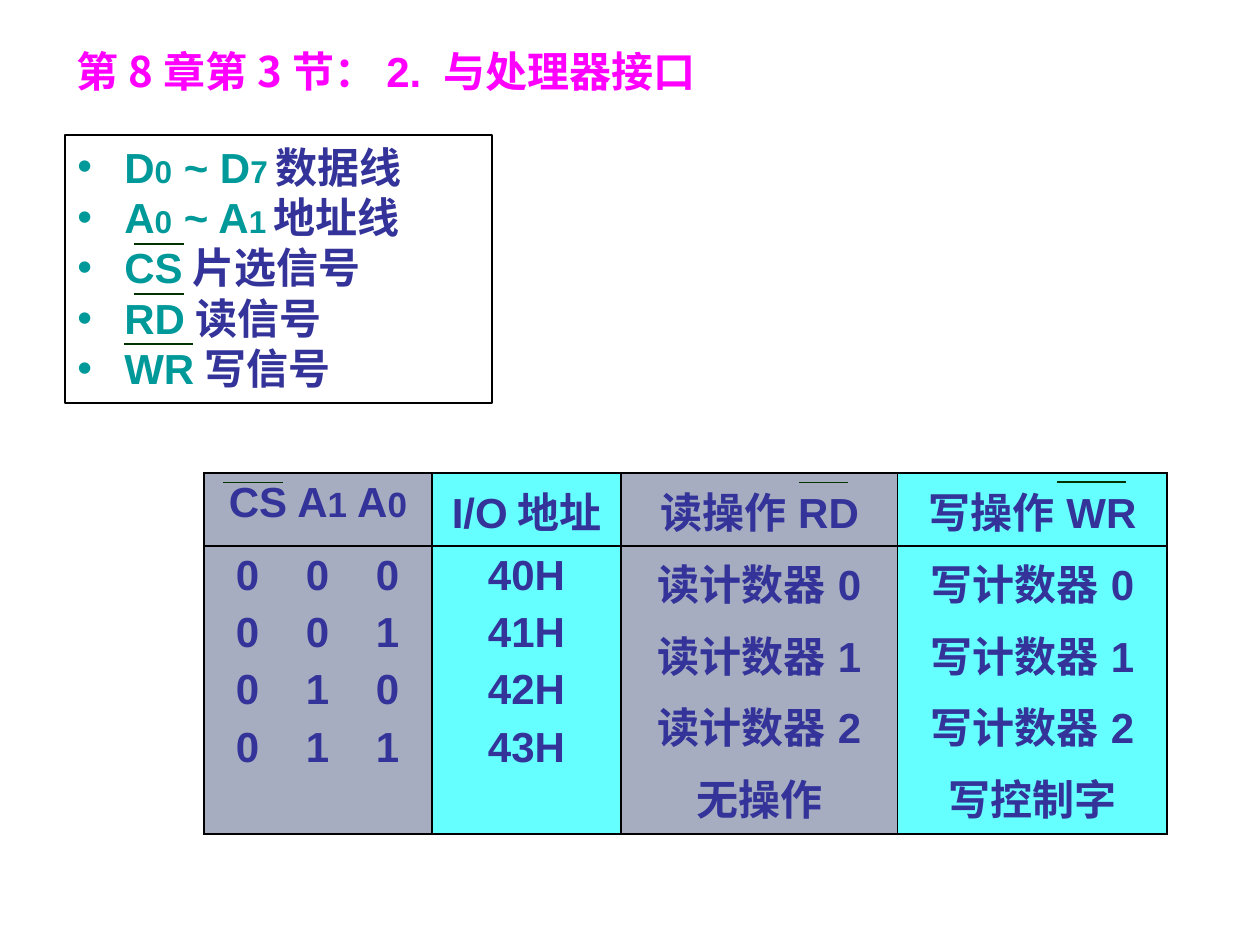
"""Build the slide on the timer chip's processor interface."""
from lxml.etree import SubElement
from pptx import Presentation
from pptx.dml.color import RGBColor
from pptx.enum.shapes import MSO_CONNECTOR, MSO_SHAPE
from pptx.enum.text import MSO_ANCHOR, PP_ALIGN
from pptx.oxml.ns import qn
from pptx.util import Pt

SCALE = 914400 / 126
PINK = RGBColor(0xFF, 0x00, 0xFF)
TEAL = RGBColor(0x00, 0x99, 0x99)
NAVY = RGBColor(0x33, 0x33, 0x99)
GREEN = RGBColor(0x00, 0x33, 0x00)
GREY = RGBColor(0xA6, 0xAD, 0xC0)
CYAN = RGBColor(0x66, 0xFF, 0xFF)
BLACK = RGBColor(0x00, 0x00, 0x00)
HAN = "Noto Sans CJK JP"

PINS = [
    (("D", "0", " ~ D", "7"), "数据线"),
    (("A", "0", " ~ A", "1"), "地址线"),
    (("CS",), "片选信号"),
    (("RD",), "读信号"),
    (("WR",), "写信号"),
]
HEADS = [("CS A", "1", " A", "0"), ("I/O地址",), ("读操作RD",), ("写操作WR",)]
BODY = [
    ["0\t0\t0", "0\t0\t1", "0\t1\t0", "0\t1\t1"],
    ["40H", "41H", "42H", "43H"],
    ["读计数器0", "读计数器1", "读计数器2", "无操作"],
    ["写计数器0", "写计数器1", "写计数器2", "写控制字"],
]
BARS = [
    (134, 184, 244, 0.75), (134, 184, 294, 1), (124, 193, 344, 0.75),
    (223, 283, 482, 0.25), (799, 848, 482, 0.25), (1057, 1126, 482, 0.75),
]


def px(num):
    """Turn pixels into EMU."""
    return round(num * SCALE)


def add_run(para, text, color, size=24, face="Arial"):
    """Add one bold run."""
    run = para.add_run()
    run.text = text
    font = run.font
    font.size, font.bold, font.name = Pt(size), True, face
    font.color.rgb = color
    SubElement(run._r.get_or_add_rPr(), qn("a:ea"), typeface=HAN)


def add_mixed(para, parts, color, small):
    """Add runs whose every second part is a smaller index."""
    for i, part in enumerate(parts):
        add_run(para, part, color, small if i % 2 else 24)


def get_para(frame, i):
    """Give the first paragraph or a new one."""
    return frame.add_paragraph() if i else frame.paragraphs[0]


def add_title(slide):
    """Add the heading."""
    frame = slide.shapes.add_textbox(px(64), px(36), px(1134), px(70)).text_frame
    frame.word_wrap = True
    frame.vertical_anchor = MSO_ANCHOR.MIDDLE
    para = frame.paragraphs[0]
    para.alignment = PP_ALIGN.JUSTIFY
    add_run(para, "第8章第3节：", PINK, face=HAN)
    add_run(para, "2. 与处理器接口", PINK)


def set_bullet(para):
    """Give a paragraph a hanging teal bullet."""
    props = para._p.get_or_add_pPr()
    props.set("marL", str(px(47)))
    props.set("indent", str(px(-47)))
    tint = SubElement(props, qn("a:buClr"))
    SubElement(tint, qn("a:srgbClr"), val=str(TEAL))
    SubElement(props, qn("a:buFont"), typeface="Arial")
    SubElement(props, qn("a:buChar"), char="•")


def add_pins(slide):
    """Add the framed list of signal pins."""
    box = slide.shapes.add_shape(
        MSO_SHAPE.RECTANGLE, px(65), px(135), px(427), px(268))
    box.shadow.inherit = False
    box.fill.background()
    box.line.color.rgb = BLACK
    box.line.width = Pt(0.75)
    frame = box.text_frame
    frame.word_wrap = True
    frame.vertical_anchor = MSO_ANCHOR.TOP
    for i, (name, role) in enumerate(PINS):
        para = get_para(frame, i)
        set_bullet(para)
        para.alignment = PP_ALIGN.JUSTIFY
        para.line_spacing = Pt(28.8)
        add_mixed(para, name, TEAL, 18)
        add_run(para, role, NAVY, face="Times New Roman")


def set_edge(cell, side, width):
    """Draw one black cell border."""
    props = cell._tc.get_or_add_tcPr()
    edge = SubElement(props, qn("a:ln" + side), w=str(Pt(width)))
    fill = SubElement(edge, qn("a:solidFill"))
    SubElement(fill, qn("a:srgbClr"), val=str(BLACK))


def set_tabs(para, stops):
    """Add left tab stops."""
    tabs = SubElement(para._p.get_or_add_pPr(), qn("a:tabLst"))
    for stop in stops:
        SubElement(tabs, qn("a:tab"), pos=str(px(stop)), algn="l")


def fill_cell(cell, lines):
    """Write lines of runs into a cell."""
    for i, parts in enumerate(lines):
        para = get_para(cell.text_frame, i)
        if "\t" in parts[0]:
            set_tabs(para, (70, 140))
            para.alignment = PP_ALIGN.LEFT
            cell.margin_left = px(32)
        else:
            para.alignment = PP_ALIGN.CENTER
        if i:
            para.space_before = Pt(6)
        add_mixed(para, parts, NAVY, 20)


def add_grid(slide):
    """Add the table of port addresses."""
    wide, high = (228, 189, 277, 269), (73, 288)
    grid = slide.shapes.add_table(
        2, 4, px(204), px(473), px(sum(wide)), px(sum(high))).table
    grid.first_row = grid.horz_banding = False
    for row, size in zip(grid.rows, high):
        row.height = px(size)
    for c, width in enumerate(wide):
        grid.columns[c].width = px(width)
        for r, lines in enumerate(([HEADS[c]], [(line,) for line in BODY[c]])):
            cell = grid.cell(r, c)
            outer = {"L": c == 0, "R": c == 3, "T": r == 0, "B": r == 1}
            for side, edge in outer.items():
                set_edge(cell, side, 1.08 if edge else 0.75)
            cell.fill.solid()
            cell.fill.fore_color.rgb = CYAN if c % 2 else GREY
            fill_cell(cell, lines)


def add_bar(slide, left, right, top, width):
    """Draw the bar over an active-low name."""
    bar = slide.shapes.add_connector(
        MSO_CONNECTOR.STRAIGHT, px(left), px(top), px(right), px(top))
    bar.line.color.rgb = GREEN
    bar.line.width = Pt(width)
    SubElement(bar._element.spPr, qn("a:effectLst"))


def main():
    """Build and save the slide."""
    deck = Presentation()
    deck.slide_width, deck.slide_height = px(1260), px(945)
    slide = deck.slides.add_slide(deck.slide_layouts[6])
    add_title(slide)
    add_pins(slide)
    add_grid(slide)
    for bar in BARS:
        add_bar(slide, *bar)
    deck.save("out.pptx")


if __name__ == "__main__":
    main()
